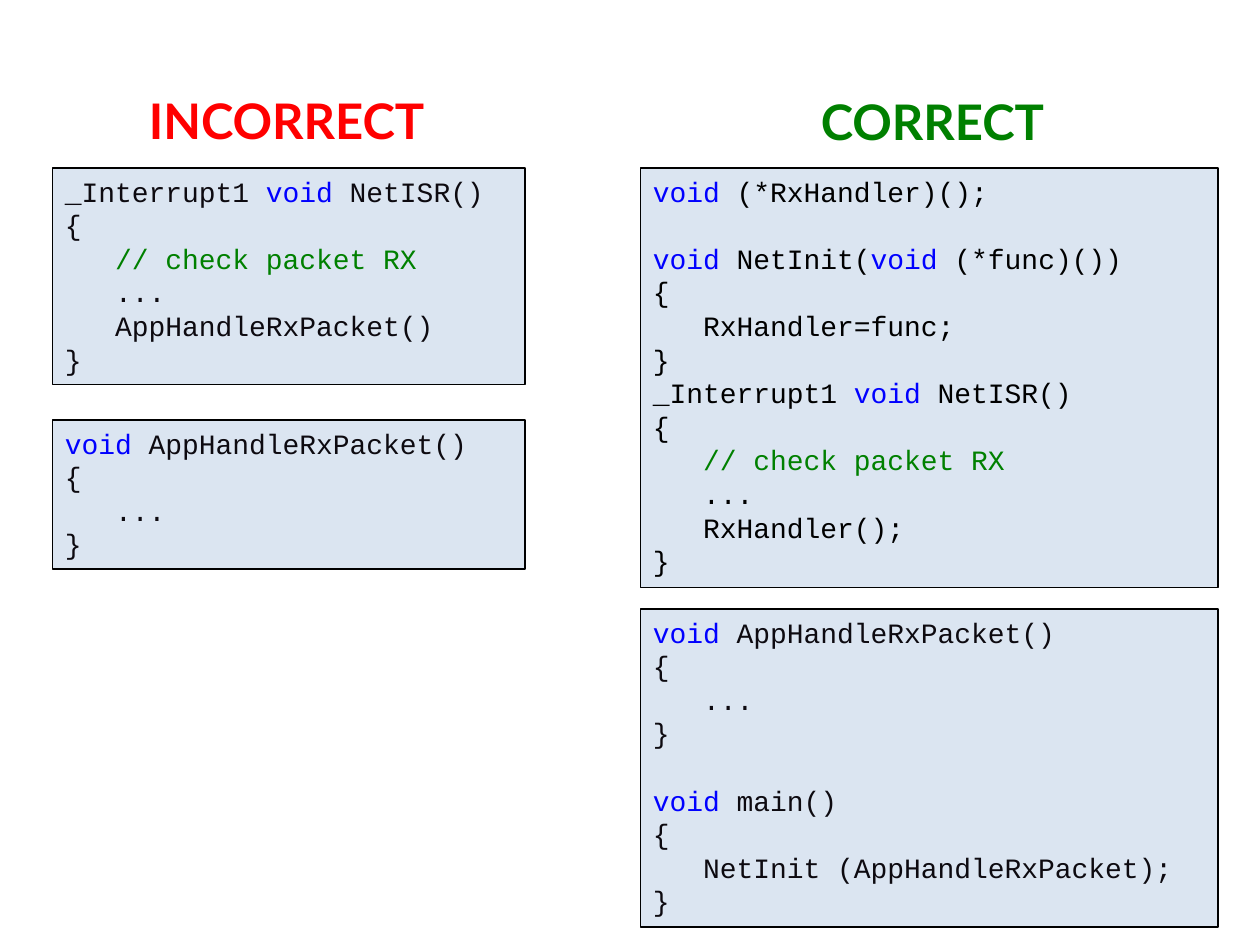
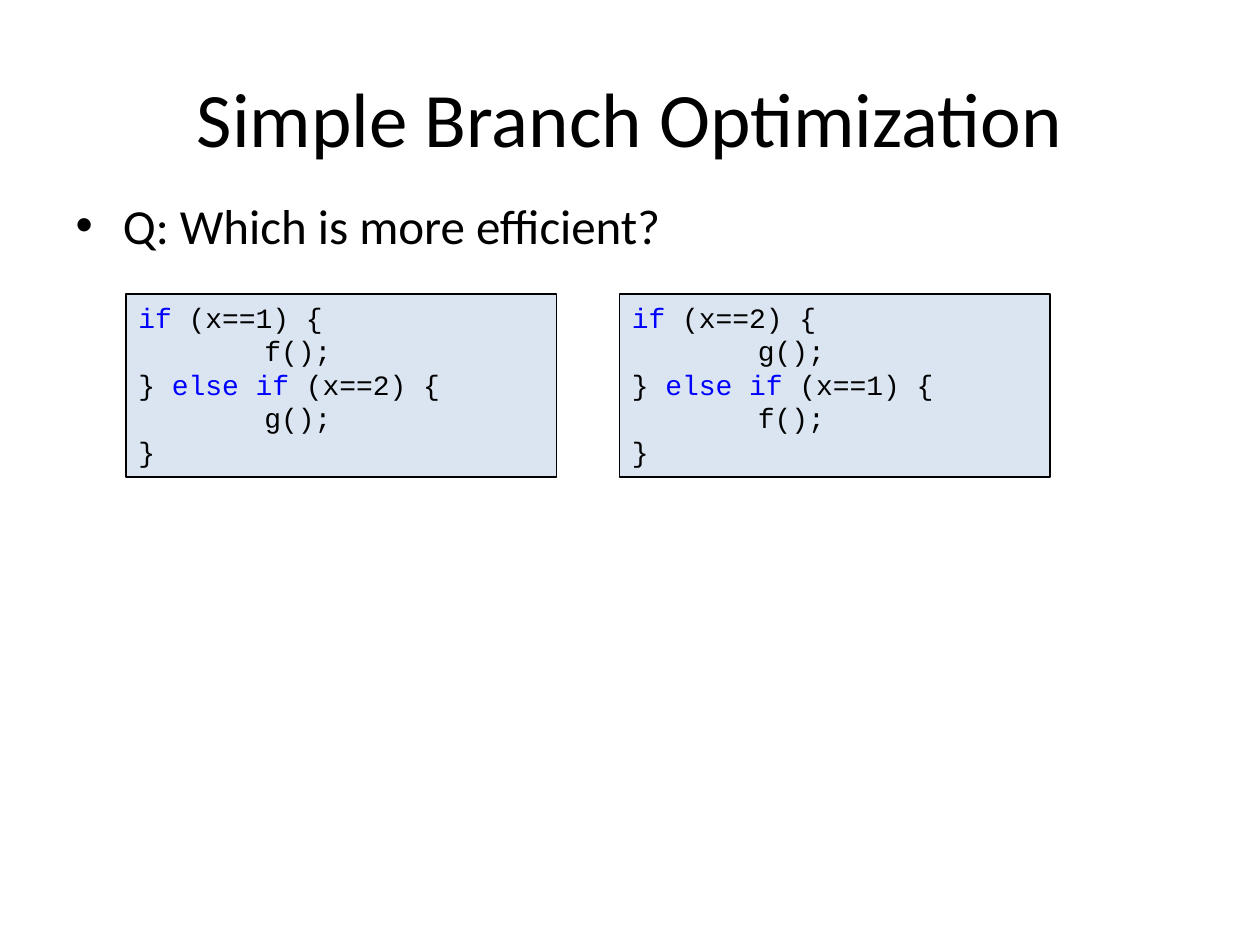
from dataclasses import dataclass
from itertools import groupby

from lxml.etree import SubElement
from pptx import Presentation
from pptx.dml.color import RGBColor
from pptx.enum.shapes import MSO_SHAPE
from pptx.enum.text import MSO_ANCHOR, PP_ALIGN
from pptx.oxml.ns import qn
from pptx.util import Pt


@dataclass(frozen=True)
class Theme:
    black: str = "000000"
    ink: str = "0D0A10"
    keyword: str = "0000FF"
    green: str = "008000"
    red: str = "FF0000"
    panel: str = "DBE5F1"
    sans: str = "Calibri"
    heading_font: str = "Lato"
    mono: str = "Courier New"
    title_size: float = 44
    body_size: float = 28
    heading_size: float = 28
    code_size: float = 16
    code_pitch: float = 19.2
    border: float = 0.75


THEME = Theme()
KEYWORDS = {"void", "if", "else"}

# Content: headings are (text, colour, left, top, width)
HEADINGS = [
    ("INCORRECT", THEME.red, 78, 48, 186),
    ("CORRECT", THEME.green, 462, 49, 150),
]

DIRECT_ISR = """\
_Interrupt1 void NetISR()
{
   // check packet RX
   ...
   AppHandleRxPacket()
}"""

APP_HANDLER = """\
void AppHandleRxPacket()
{
   ...
}"""

CALLBACK_ISR = """\
void (*RxHandler)();

void NetInit(void (*func)())
{
   RxHandler=func;
}
_Interrupt1 void NetISR()
{
   // check packet RX
   ...
   RxHandler();
}"""

APP_MAIN = APP_HANDLER + """

void main()
{
   NetInit (AppHandleRxPacket);
}"""

BRANCH = """\
if (x=={}) {{
\t{}();
}} else if (x=={}) {{
\t{}();
}}"""

# Panels are (code, base colour, left, top, width)
CALLBACK_PANELS = [
    (DIRECT_ISR, THEME.ink, 30, 96, 270),
    (APP_HANDLER, THEME.ink, 30, 240, 270),
    (CALLBACK_ISR, THEME.black, 366, 96, 330),
    (APP_MAIN, THEME.ink, 366, 348, 330),
]

BRANCH_TITLE = "Simple Branch Optimization"
BRANCH_QUESTION = "Q: Which is more efficient?"
BRANCH_ORDERS = [(1, "f", 2, "g"), (2, "g", 1, "f")]
BRANCH_LEFT, BRANCH_STEP, BRANCH_TOP, BRANCH_WIDTH = 72, 282, 168, 246


# Text and placement helpers
def write(paragraph, text, font=THEME.sans, size=THEME.body_size,
          color=THEME.black, bold=False):
    run = paragraph.add_run()
    run.text = text
    run.font.name = font
    run.font.size = Pt(size)
    run.font.bold = bold
    run.font.color.rgb = RGBColor.from_string(color)


def place(shape, left, top, width, height):
    shape.left, shape.top = Pt(left), Pt(top)
    shape.width, shape.height = Pt(width), Pt(height)


def highlight(line, base):
    """Yield (text, colour) pieces of one code line."""
    if line.lstrip().startswith("//"):
        yield line, THEME.green
        return
    words = ["".join(chars) for _, chars in groupby(line, str.isalnum)]
    for color, pieces in groupby(
            words, lambda word: THEME.keyword if word in KEYWORDS else base):
        yield "".join(pieces), color


def add_code_panel(slide, code, base, left, top, width):
    lines = code.split("\n")
    height = 8 + 19.3 * len(lines)
    panel = slide.shapes.add_shape(
        MSO_SHAPE.RECTANGLE, Pt(left), Pt(top), Pt(width), Pt(height))
    panel.shadow.inherit = False
    panel.fill.solid()
    panel.fill.fore_color.rgb = RGBColor.from_string(THEME.panel)
    panel.line.color.rgb = RGBColor.from_string(THEME.black)
    panel.line.width = Pt(THEME.border)
    frame = panel.text_frame
    frame.word_wrap = True
    frame.vertical_anchor = MSO_ANCHOR.TOP

    paragraph, gap = frame.paragraphs[0], 0
    for index, line in enumerate(lines):
        if not line:
            gap = THEME.code_pitch
            continue
        if index:
            paragraph = frame.add_paragraph()
        paragraph.alignment = PP_ALIGN.LEFT
        paragraph.space_before = Pt(gap)
        gap = 0
        if "\t" in line:
            tabs = SubElement(paragraph._p.get_or_add_pPr(), qn("a:tabLst"))
            SubElement(tabs, qn("a:tab"), pos=str(Pt(72)), algn="l")
        for text, color in highlight(line, base):
            write(paragraph, text, font=THEME.mono, size=THEME.code_size,
                  color=color)


# Slide builders
def build_callback_slide(deck):
    slide = deck.slides.add_slide(deck.slide_layouts[6])
    for code, base, left, top, width in CALLBACK_PANELS:
        add_code_panel(slide, code, base, left, top, width)
    for text, color, left, top, width in HEADINGS:
        heading = slide.shapes.add_textbox(
            Pt(left), Pt(top), Pt(width), Pt(41))
        heading.text_frame.word_wrap = True
        write(heading.text_frame.paragraphs[0], text, bold=True, color=color,
              font=THEME.heading_font, size=THEME.heading_size)


def build_branch_slide(deck):
    slide = deck.slides.add_slide(deck.slide_layouts[1])
    title, question = slide.shapes.title, slide.placeholders[1]
    place(title, 36, 21.6, 648, 90)
    title.text_frame.vertical_anchor = MSO_ANCHOR.MIDDLE
    title.text_frame.paragraphs[0].alignment = PP_ALIGN.CENTER
    write(title.text_frame.paragraphs[0], BRANCH_TITLE, size=THEME.title_size)
    place(question, 36, 108, 648, 54)
    question.text_frame.paragraphs[0].space_before = Pt(0)
    write(question.text_frame.paragraphs[0], BRANCH_QUESTION)
    for column, order in enumerate(BRANCH_ORDERS):
        add_code_panel(slide, BRANCH.format(*order), THEME.black,
                       BRANCH_LEFT + column * BRANCH_STEP, BRANCH_TOP,
                       BRANCH_WIDTH)


def main():
    deck = Presentation()
    deck.slide_width, deck.slide_height = Pt(720), Pt(540)
    build_callback_slide(deck)
    build_branch_slide(deck)
    deck.save("out.pptx")


if __name__ == "__main__":
    main()
